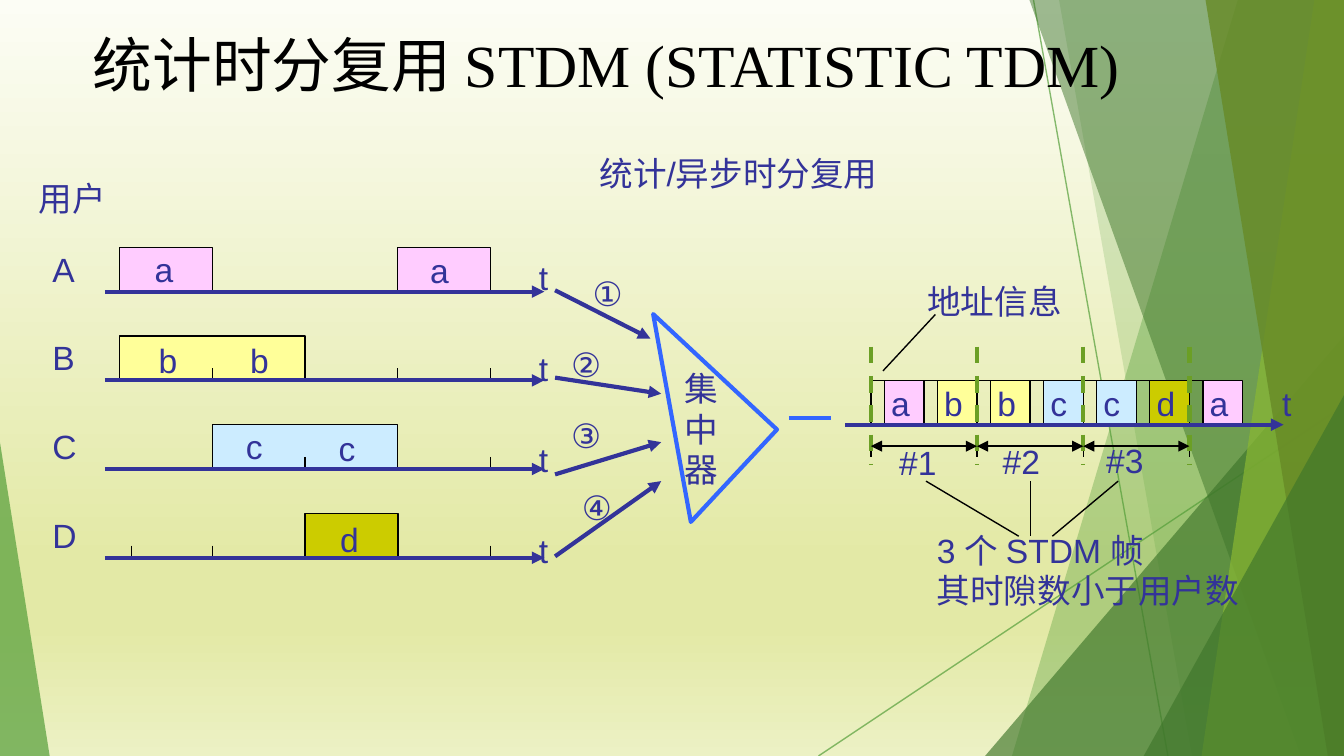
from copy import deepcopy
from dataclasses import dataclass

from pptx import Presentation
from pptx.dml.color import RGBColor
from pptx.enum.dml import MSO_LINE_DASH_STYLE as Dash
from pptx.enum.shapes import MSO_CONNECTOR as Link, MSO_SHAPE as Form
from pptx.enum.text import MSO_ANCHOR as Anchor, MSO_AUTO_SIZE as Fit
from pptx.oxml.xmlchemy import OxmlElement
from pptx.util import Inches, Pt


@dataclass(frozen=True)
class Theme:
    ink: str = "333399"
    black: str = "000000"
    blue: str = "3366FF"
    mark: str = "6B9F25"
    green: str = "549E39"
    dark: str = "3F762B"
    lime: str = "8AB833"
    olive: str = "678A26"
    sky: tuple = ((0, "FCFDF5"), (0.74, "E3E9A6"), (0.83, "E3E9A6"), (1, "ECF1C4"))
    body: int = 18
    head: int = 32
    thin: float = 0.75
    bold: float = 2.25


T = Theme()
DATA = {"a": "FFCCFF", "b": "FFFF99", "c": "CCECFF", "d": "CCCC00"}


def rgb(code):
    return RGBColor.from_string(code)


def fade(shape, pct):
    for clr in shape.element.spPr.xpath(".//a:srgbClr"):
        alpha = OxmlElement("a:alpha")
        alpha.set("val", str(pct * 1000))
        clr.append(alpha)


class Pen:
    """Draws in inches, measured from the corner of one region."""

    def __init__(self, slide, x, y):
        self.shapes, self.x, self.y = slide.shapes, x, y

    def spot(self, x, y):
        return Inches(self.x + x), Inches(self.y + y)

    def style(self, shape, fill=None, line=None, width=T.thin):
        shape.shadow.inherit = False
        for part, color in ((shape.fill, fill), (shape.line.fill, line)):
            if color:
                part.solid()
                part.fore_color.rgb = rgb(color)
            else:
                part.background()
        if line:
            shape.line.width = Pt(width)
        return shape

    def line(self, start, end, color=T.black, width=T.thin, ends=(), dash=None):
        link = self.shapes.add_connector(
            Link.STRAIGHT, *self.spot(*start), *self.spot(*end))
        link.line.color.rgb = rgb(color)
        link.line.width = Pt(width)
        if dash:
            link.line.dash_style = dash
        for end_tag in ends:
            tip = OxmlElement("a:" + end_tag)
            tip.set("type", "triangle")
            link.line._get_or_add_ln().append(tip)
        link.element.spPr.append(OxmlElement("a:effectLst"))
        return link

    def arrow(self, start, end):
        self.line(start, end, T.ink, T.bold, ["tailEnd"])

    def poly(self, points, close, **look):
        first, *rest = [self.spot(*p) for p in points]
        form = self.shapes.build_freeform(*first)
        form.add_line_segments(rest, close=close)
        return self.style(form.convert_to_shape(), **look)

    def slot(self, x, base, w, fill=None, h=0.33):
        """A cell without a bottom edge, standing on the time axis."""
        self.poly([(x, base), (x, base - h), (x + w, base - h), (x + w, base)],
                  False, fill=fill, line=T.black)

    def shape(self, kind, x, y, w, h, **look):
        item = self.shapes.add_shape(kind, *self.spot(x, y), Inches(w), Inches(h))
        return self.style(item, **look)

    def text(self, words, x, y, w=0.32, h=0.39, wrap=False, size=T.body,
             face="Arial", color=T.ink, **frame):
        box = self.shapes.add_textbox(*self.spot(x, y), Inches(w), Inches(h))
        look = dict(word_wrap=wrap, auto_size=Fit.SHAPE_TO_FIT_TEXT,
                    margin_left=Inches(0.09), margin_right=Inches(0.09),
                    margin_top=Inches(0.04), margin_bottom=Inches(0.04))
        for key, value in (look | frame).items():
            setattr(box.text_frame, key, value)
        box.text_frame.text = words
        for para in box.text_frame.paragraphs:
            for key, value in dict(name=face, size=Pt(size)).items():
                setattr(para.font, key, value)
            para.font.color.rgb = rgb(color)


def backdrop(slide, w, h):
    fill = slide.background.fill
    fill.gradient()
    fill.gradient_angle = 270
    stops = slide.element.xpath(".//a:gsLst")[0]
    for _ in T.sky[2:]:
        stops.append(deepcopy(stops[0]))
    for stop, (place, color) in zip(fill.gradient_stops, T.sky):
        stop.position = place
        stop.color.rgb = rgb(color)

    pen = Pen(slide, 0, 0)
    for start, end in (((7.69, 0), (8.69, h)), ((w, 3.02), (6.09, h))):
        fade(pen.line(start, end, T.green), 70)

    def band(top, foot, color, pct):
        fade(pen.poly([(top, 0), (w, 0), (w, h), (foot, h)], True, fill=color), pct)

    def wedge(x, y, width, lean, color, pct):
        item = pen.shape(Form.ISOSCELES_TRIANGLE, x, y, width, h - y, fill=color)
        item.adjustments[0] = lean
        fade(item, pct)

    band(9.21, 7.53, T.green, 36)
    band(7.88, 8.87, T.green, 20)
    wedge(7.33, 2.5, 2.67, 1, T.dark, 66)
    band(7.66, 9.68, T.dark, 50)
    band(9.78, 8.94, T.lime, 70)
    band(8.97, 9.88, T.olive, 80)
    wedge(8.51, 2.94, 1.49, 1, T.dark, 66)
    wedge(0, 3.29, 0.37, 0, T.green, 70)


def users(slide, x, y):
    """Four input channels: blocks as (slot, span), ticks in slots, letters as (x, rise)."""
    pen = Pen(slide, x, y)
    pen.text("用户", 0, 0, 0.69)
    left, cell = 0.69, 0.69
    rows = (
        ("A", "a", [(0, 1), (3, 1)], [], [(0.86, 0.36), (2.91, 0.35)]),
        ("B", "b", [(0, 2)], [1, 3, 4], [(0.89, 0.34), (1.57, 0.34)]),
        ("C", "c", [(1, 2)], [2, 4], [(1.54, 0.36), (2.23, 0.35)]),
        ("D", "d", [(2, 1)], [0.13, 1, 4], [(2.24, 0.33)]),
    )
    for i, (user, mark, blocks, ticks, spots) in enumerate(rows):
        base = 0.89 + 0.66 * i
        pen.text(user, 0.1, base - 0.36, 0.35)
        for first, span in blocks:
            pen.slot(left + first * cell, base, span * cell, DATA[mark])
        for tick in ticks:
            at = left + tick * cell
            pen.line((at, base - 0.09), (at, base))
        for at, rise in spots:
            pen.text(mark, at, base - rise)
        pen.text("t", 3.72, 0.59 + 0.677 * i, 0.25)
        pen.arrow((0.58, base), (3.85, base))


def hub(slide, x, y):
    """The concentrator with its four numbered inputs and its output."""
    pen = Pen(slide, x, y)
    pen.text("统计/异步时分复用", 0.24, 0, 2.27, wrap=True)
    inputs = (
        ("①", (0.19, 0.89), 1.06, (0.71, 1.42)),
        ("②", (0.03, 1.42), 1.71, (0.79, 1.83)),
        ("③", (0.03, 1.95), 2.43, (0.79, 2.19)),
        ("④", (0.11, 2.48), 3.04, (0.79, 2.48)),
    )
    for mark, spot, start, end in inputs:
        pen.arrow((0, start), end)
        pen.text(mark, *spot, 0.43)
    body = pen.shape(Form.RIGHT_TRIANGLE, 0.24, 1.54, 1.26, 0.94,
                     line=T.blue, width=T.bold)
    body.rotation = 223
    pen.line((1.74, 2.01), (2.05, 2.01), T.blue, T.bold)
    pen.text("集中器", 0.87, 1.6, 0.4, 1, wrap=True)


def stream(slide, x, y):
    """The shared line: three frames of two slots, then the next slot."""
    pen = Pen(slide, x, y)
    base, frame, head = 1.11, 0.79, 0.1
    pitch = frame / 2
    for i, mark in enumerate("abbccda"):
        at = 0.19 + i * pitch
        pen.slot(at + head, base, pitch - head, DATA[mark])
        pen.slot(at, base, head)
        pen.text(mark, at + 0.06, base - 0.35)
    for at in (1.08, 1.38, 2.56):
        pen.line((at, base - 0.08), (at, base))
    pen.arrow((0, base), (3.26, base))
    pen.text("t", 3.16, base - 0.35, 0.25)

    edges = [0.19 + i * frame for i in range(4)]
    for at in edges:
        pen.line((at, 1.19), (at, 1.35))
        pen.line((at, 0.53), (at, 1.41), T.mark, T.bold, dash=Dash.DASH)
    for i, at in enumerate(edges[:-1]):
        pen.line((at, 1.27), (at + frame, 1.27), ends=["headEnd", "tailEnd"])
        pen.text(f"#{i + 1}", 0.31 + 0.77 * i, 1.2 - 0.01 * i, 0.46)
    for start, end in ((0.6, 1.29), (1.38, 1.38), (2.03, 1.54)):
        pen.line((start, 1.53), (end, 1.94))
    pen.line((0.28, 0.71), (0.67, 0.29))
    pen.text("地址信息", 0.52, 0, 1.19)
    pen.text("3 个 STDM 帧\n其时隙数小于用户数", 0.59, 1.85, 2.45, 0.7)


def main():
    deck = Presentation()
    w, h = 10, 5.625
    deck.slide_width, deck.slide_height = Inches(w), Inches(h)
    slide = deck.slides.add_slide(deck.slide_layouts[6])
    backdrop(slide, w, h)
    Pen(slide, 0.6, 0.14).text(
        "统计时分复用 STDM (STATISTIC TDM)", 0, 0, 8.53, 0.66, wrap=True, size=T.head,
        face="Times New Roman", color=T.black, auto_size=Fit.NONE,
        vertical_anchor=Anchor.MIDDLE)
    users(slide, 0.2, 1.28)
    hub(slide, 4.13, 1.1)
    stream(slide, 6.29, 2.05)
    deck.save("out.pptx")


if __name__ == "__main__":
    main()
